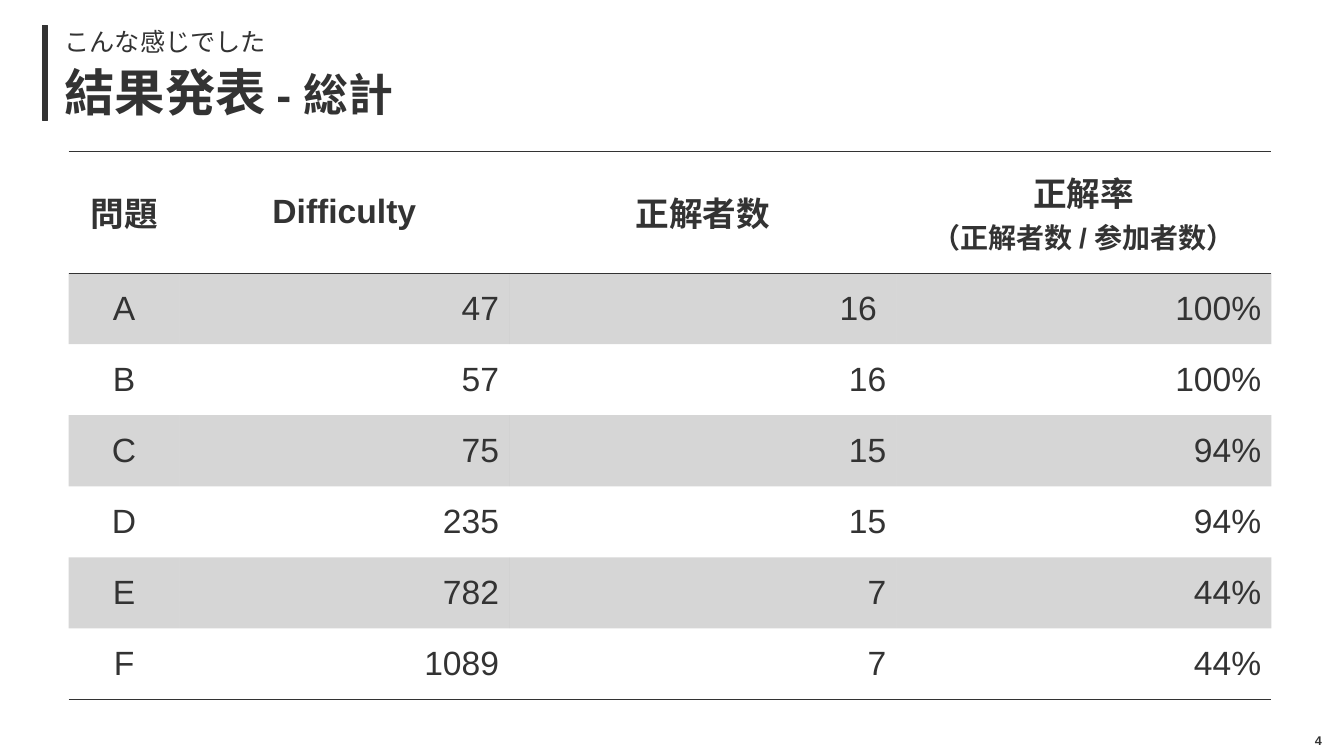
from lxml.etree import SubElement
from pptx import Presentation
from pptx.dml.color import RGBColor
from pptx.enum.shapes import MSO_SHAPE
from pptx.enum.text import MSO_ANCHOR, PP_ALIGN
from pptx.oxml.ns import qn
from pptx.util import Inches, Pt

SUBTITLE = "こんな感じでした"
TITLE = [("結果発表", 36), (" - 総計", 32)]
PAGE_NUMBER = "4"
HEADER = [
    [("問題", 24)],
    [("Difficulty", 24)],
    [("正解者数", 24)],
    [("正解率", 24), ("（正解者数 / 参加者数）", 20)],
]
RESULTS = [
    ("A", "47", "16 ", "100%"),
    ("B", "57", "16", "100%"),
    ("C", "75", "15", "94%"),
    ("D", "235", "15", "94%"),
    ("E", "782", "7", "44%"),
    ("F", "1089", "7", "44%"),
]
COLUMN_WIDTHS = [1.1, 3.27, 3.84, 3.72]
HEADER_HEIGHT, ROW_HEIGHT = 1.21, 0.705
COLORS = {"ink": "333333"}
BAND_OPACITY = 20
INK = RGBColor.from_string(COLORS["ink"])


def add_span(para, text, size, bold=False):
    span = para.add_run()
    span.text = text
    for name, value in {"name": "Arial", "size": Pt(size), "bold": bold}.items():
        setattr(span.font, name, value)
    span.font.color.rgb = INK


def place(shape, left, top, width, height):
    for name, value in zip(("left", "top", "width", "height"), (left, top, width, height)):
        setattr(shape, name, Inches(value))


def set_frame(frame, margin_x=0, margin_y=0):
    frame.word_wrap = True
    frame.vertical_anchor = MSO_ANCHOR.MIDDLE
    frame.margin_left = frame.margin_right = Inches(margin_x)
    frame.margin_top = frame.margin_bottom = Inches(margin_y)


def set_borders(cell, ruled):
    properties = cell._tc.get_or_add_tcPr()
    for side in ("L", "R", "T", "B"):
        line = SubElement(properties, qn(f"a:ln{side}"), w=str(Pt(1)))
        if side in ruled:
            fill = SubElement(line, qn("a:solidFill"))
            SubElement(fill, qn("a:srgbClr"), val=COLORS["ink"])
        else:
            SubElement(line, qn("a:noFill"))


def fill_cell(cell, lines, align, bold, ruled, banded):
    cell.vertical_anchor = MSO_ANCHOR.MIDDLE
    frame = cell.text_frame
    for index, (text, size) in enumerate(lines):
        para = frame.add_paragraph() if index else frame.paragraphs[0]
        para.alignment = align
        add_span(para, text, size, bold)
    set_borders(cell, ruled)
    if banded:
        cell.fill.solid()
        cell.fill.fore_color.rgb = INK
        color = cell._tc.tcPr.find(qn("a:solidFill")).find(qn("a:srgbClr"))
        SubElement(color, qn("a:alpha"), val=str(BAND_OPACITY * 1000))
    else:
        cell.fill.background()


deck = Presentation()
deck.slide_width, deck.slide_height = Inches(13.33), Inches(7.5)
page = deck.slides.add_slide(deck.slide_layouts[1])

# Accent bar
bar = page.shapes.add_shape(
    MSO_SHAPE.RECTANGLE, Inches(0.42), Inches(0.25), Inches(0.05), Inches(0.94))
bar.shadow.inherit = False
bar.fill.solid()
bar.fill.fore_color.rgb = bar.line.color.rgb = INK
bar.line.width = Pt(0.5)

# Title and the line above it
title = page.shapes.title
place(title, 0.64, 0.56, 12.47, 0.63)
set_frame(title.text_frame)
para = title.text_frame.paragraphs[0]
para.alignment, para.line_spacing = PP_ALIGN.LEFT, 1.1
for text, size in TITLE:
    add_span(para, text, size, True)

subtitle = page.placeholders[1]
place(subtitle, 0.54, 0.25, 12.57, 0.32)
set_frame(subtitle.text_frame, 0.1, 0.05)
para = subtitle.text_frame.paragraphs[0]
para.space_before = Pt(0)
properties = para._p.get_or_add_pPr()
properties.set("marL", "0")
properties.set("indent", "0")
SubElement(properties, qn("a:buNone"))
add_span(para, SUBTITLE, 18)

# Result table
row_count = len(RESULTS) + 1
table = page.shapes.add_table(
    row_count, len(COLUMN_WIDTHS), Inches(0.68), Inches(1.5),
    Inches(sum(COLUMN_WIDTHS)), Inches(HEADER_HEIGHT + ROW_HEIGHT * len(RESULTS))).table
table.first_row = table.horz_banding = False
for column, width in zip(table.columns, COLUMN_WIDTHS):
    column.width = Inches(width)
for index, row in enumerate(table.rows):
    row.height = Inches(ROW_HEIGHT if index else HEADER_HEIGHT)

for column, lines in enumerate(HEADER):
    fill_cell(table.cell(0, column), lines, PP_ALIGN.CENTER, True, "TB", False)
for index, values in enumerate(RESULTS, 1):
    ruled = {1: "T", row_count - 1: "B"}.get(index, "")
    for column, value in enumerate(values):
        align = PP_ALIGN.RIGHT if column else PP_ALIGN.CENTER
        fill_cell(table.cell(index, column), [(value, 24)], align, False, ruled, index % 2 == 1)

# Page number
number = page.shapes.add_textbox(Inches(12.61), Inches(7.21), Inches(0.5), Inches(0.28))
set_frame(number.text_frame)
para = number.text_frame.paragraphs[0]
para.alignment = PP_ALIGN.RIGHT
add_span(para, PAGE_NUMBER, 9, True)

deck.save("out.pptx")
